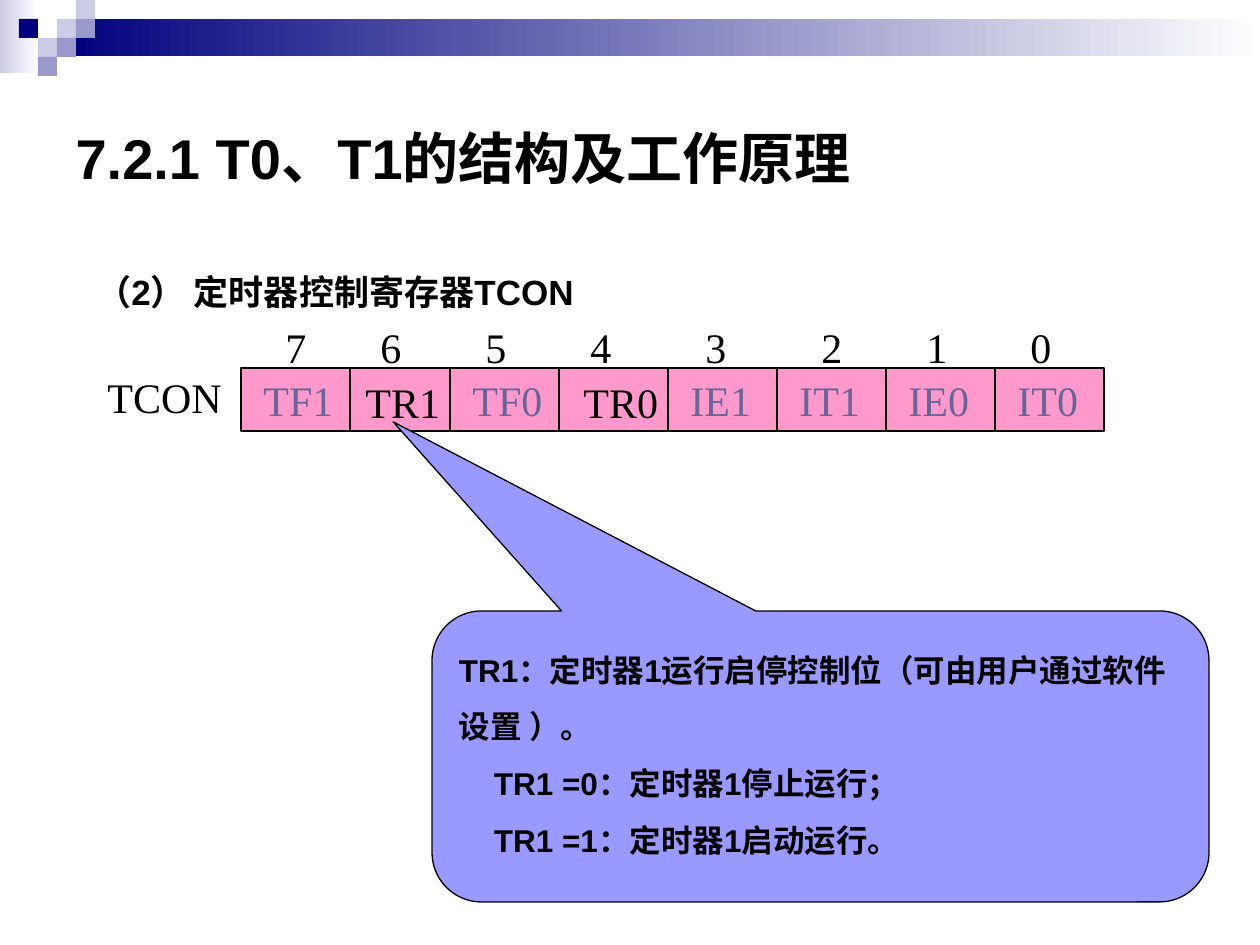
from pptx import Presentation
from pptx.dml.color import RGBColor
from pptx.enum.shapes import MSO_SHAPE
from pptx.enum.text import MSO_ANCHOR, PP_ALIGN
from pptx.util import Emu, Pt

RECTANGLE = MSO_SHAPE.RECTANGLE
CALLOUT = MSO_SHAPE.ROUNDED_RECTANGULAR_CALLOUT
TOP, MIDDLE = MSO_ANCHOR.TOP, MSO_ANCHOR.MIDDLE
LEFT = PP_ALIGN.LEFT
SCALE = 914400 / 126

BLACK, WHITE, NAVY = "000000", "FFFFFF", "00007D"
PALE, LILAC, SLATE = "CCCCE6", "9999CC", "666699"
PINK, VIOLET = "FF99CC", "9999FF"

SERIF = {"name": "Times New Roman", "size": Pt(24), "bold": False}
TITLE = {"name": "Arial", "size": Pt(32), "bold": True}
SUBTITLE = {"name": "Arial", "size": Pt(20), "bold": True}
NOTE = {"name": "Arial", "size": Pt(18), "bold": True}


def px(length):
    return Emu(round(length * SCALE))


def rgb(value):
    return RGBColor.from_string(value)


class SlideBuilder:
    """Holds the current slide and draws each kind of element in its style."""

    def __init__(self, presentation):
        self.slide = presentation.slides.add_slide(presentation.slide_layouts[5])

    def fill_text(self, shape, lines, font, color=BLACK, anchor=TOP, spacing=None, indents=(0,)):
        frame = shape.text_frame
        frame.word_wrap = True
        frame.vertical_anchor = anchor
        frame.text = "\n".join(lines)
        for paragraph, indent in zip(frame.paragraphs, indents):
            paragraph.alignment = LEFT
            paragraph.line_spacing = spacing
            if indent:
                properties = paragraph._p.get_or_add_pPr()
                properties.set("marL", str(px(indent)))
                properties.set("indent", "0")
            for name, value in font.items():
                setattr(paragraph.font, name, value)
            paragraph.font.color.rgb = rgb(color)

    def title(self, box, text):
        shape = self.slide.shapes.title
        for name, value in zip(("left", "top", "width", "height"), box):
            setattr(shape, name, px(value))
        self.fill_text(shape, [text], TITLE, anchor=MIDDLE)

    def text(self, box, text, font=SERIF, anchor=TOP):
        shape = self.slide.shapes.add_textbox(*map(px, box))
        self.fill_text(shape, [text], font, anchor=anchor)

    def shape(self, box, fill, line=None, kind=RECTANGLE):
        shape = self.slide.shapes.add_shape(kind, *map(px, box))
        shape.shadow.inherit = False
        shape.fill.solid()
        shape.fill.fore_color.rgb = rgb(fill)
        if line:
            shape.line.color.rgb = rgb(line)
            shape.line.width = Pt(0.75)
        else:
            shape.line.fill.background()
        return shape

    def gradient(self, box, start, end):
        fill = self.shape(box, start).fill
        fill.gradient()
        fill.gradient_angle = 0
        for stop, color, position in zip(fill.gradient_stops, (start, end), (0, 1)):
            stop.color.rgb = rgb(color)
            stop.position = position

    def callout(self, box, lines, adjustments, indents):
        shape = self.shape(box, VIOLET, BLACK, CALLOUT)
        for index, value in enumerate(adjustments):
            shape.adjustments[index] = value
        self.fill_text(shape, lines, NOTE, spacing=1.5, indents=indents)


def main():
    presentation = Presentation()
    presentation.slide_width, presentation.slide_height = px(1260), px(945)
    builder = SlideBuilder(presentation)

    builder.gradient((0, 0, 39, 73), PALE, WHITE)
    builder.gradient((57, 19, 1203, 37), NAVY, WHITE)
    square = 19
    for column, row, color in (
        (3, 1, PALE), (4, 0, PALE), (4, 1, LILAC), (2, 2, PALE),
        (1, 1, NAVY), (3, 2, LILAC), (2, 3, LILAC),
    ):
        builder.shape((column * square, row * square, square, square), color)

    builder.title((63, 63, 1134, 189), "7.2.1 T0、T1的结构及工作原理")
    builder.text((84, 243, 517, 97), "（2） 定时器控制寄存器TCON", SUBTITLE, MIDDLE)

    left = 241
    for name, width in (
        ("TF1", 109), ("", 100), ("TF0", 109), ("", 109),
        ("IE1", 109), ("IT1", 109), ("IE0", 109), ("IT0", 109),
    ):
        cell = builder.shape((left, 368, width, 63), PINK, BLACK)
        if name:
            builder.fill_text(cell, [name], SERIF, SLATE, indents=(10,))
        left += width

    builder.text((95, 365, 147, 63), "TCON")
    builder.callout(
        (432, 611, 777, 291),
        [
            "TR1：定时器1运行启停控制位（可由用户通过软件设置 ）。",
            "TR1 =0：定时器1停止运行；",
            "TR1 =1：定时器1启动运行。",
        ],
        (-0.55, -1.15, 0.17),
        (0, 35, 35),
    )
    for bit, left in zip("76543210", (273, 368, 473, 578, 693, 809, 914, 1018)):
        builder.text((left, 315, 63, 63), bit)
    for name, left in (("TR1", 353), ("TR0", 571)):
        builder.text((left, 370, 109, 63), name)

    presentation.save("out.pptx")


if __name__ == "__main__":
    main()
